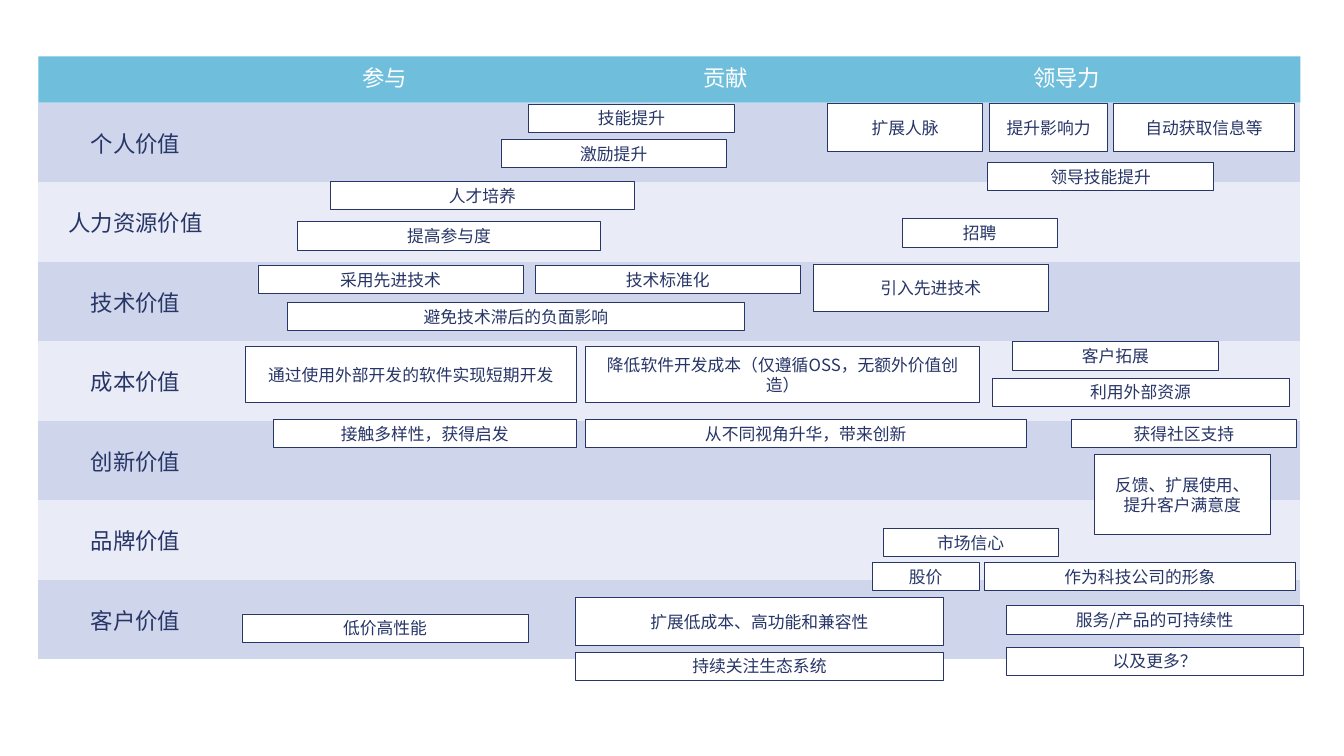
"""Build the slide that maps community values to levels of engagement."""
import dataclasses

import pptx
import pptx.dml.color
import pptx.enum.shapes
import pptx.enum.text
import pptx.oxml
import pptx.oxml.ns
import pptx.util

Pt = pptx.util.Pt
FACE = "Noto Sans CJK SC"
NAVY, WHITE, TEAL = "273567", "FFFFFF", "6EBEDC"
BANDS = ("CFD6EC", "E9ECF6")
PLAIN = "{2D5ABB26-0587-4C30-8999-92F81FD0307C}"
LEFT, TOP, WIDTH = 27.4, 73.4, 901.4
COLS = (139, 311.8, 225.3, 225.3)
ROW = 56.78
HEADS = ("参与", "贡献", "领导力")
ROWS = ("个人价值", "人力资源价值", "技术价值", "成本价值", "创新价值", "品牌价值", "客户价值")


@dataclasses.dataclass
class Note:
    text: str
    left: float
    top: float
    width: float
    height: float = 20.2


NOTES = (
    Note("技能提升", 377.3, 74.2, 147.6),
    Note("激励提升", 357.8, 99.4, 161.3),
    Note("领导技能提升", 705.6, 115.9, 161.3),
    Note("人才培养", 236.2, 129.6, 216.7),
    Note("提高参与度", 212.4, 158.4, 216.7),
    Note("采用先进技术", 184.3, 189.4, 189.4),
    Note("技术标准化", 382.3, 189.4, 189.4),
    Note("招聘", 644.4, 156.2, 110.9),
    Note("避免技术滞后的负面影响", 205.2, 216, 326.9),
    Note("低价高性能", 172.8, 438.5, 204.5),
    Note("接触多样性，获得启发", 195.1, 299.5, 216.7),
    Note("从不同视角升华，带来创新", 418.3, 299.5, 314.6),
    Note("持续关注生态系统", 411.1, 465.8, 262.8),
    Note("以及更多？", 718.6, 462.2, 212.4),
    Note("服务/产品的可持续性", 718.6, 432.7, 212.4),
    Note("作为科技公司的形象", 703.4, 401.8, 221.8),
    Note("股价", 622.8, 401.8, 77),
    Note("市场信心", 630.7, 377.3, 125.3),
    Note("获得社区支持", 765.4, 299.5, 160.6),
    Note("利用外部资源", 708.5, 270, 212.4),
    Note("客户拓展", 722.9, 244.1, 147.6),
    Note("扩展低成本、高功能和兼容性", 411.1, 427, 262.8, 33.8),
    Note("反馈、扩展使用、\n提升客户满意度", 781.9, 324.7, 125.3, 56.9),
    Note("通过使用外部开发的软件实现短期开发", 175, 247.7, 236.9, 39.6),
    Note("降低软件开发成本（仅遵循OSS，无额外价值创造）", 418.3, 247.7, 281.5, 39.6),
    Note("引入先进技术", 581, 188.6, 167.8, 33.8),
    Note("扩展人脉", 591.1, 74.2, 110.9, 33.8),
    Note("提升影响力", 707, 74.2, 84.2, 33.8),
    Note("自动获取信息等", 795.6, 74.2, 128.9, 33.8),
)


def paint(target, tone: str) -> None:
    """Give a fill one solid colour."""
    target.solid()
    target.fore_color.rgb = pptx.dml.color.RGBColor.from_string(tone)


def write(frame, text: str, size: float, tone: str) -> None:
    """Fill a text frame with centred text."""
    frame.text = text
    frame.word_wrap = True
    for para in frame.paragraphs:
        para.alignment = pptx.enum.text.PP_ALIGN.CENTER
        para.font.size = Pt(size)
        para.font.name = FACE
        paint(para.font.fill, tone)
        base = para._p.pPr.find(pptx.oxml.ns.qn("a:defRPr"))
        east = pptx.oxml.parse_xml(
            f'<a:ea {pptx.oxml.ns.nsdecls("a")} typeface="{FACE}"/>')
        base.find(pptx.oxml.ns.qn("a:latin")).addnext(east)


def add_box(slide, left: float, top: float, width: float, height: float, tone: str):
    """Add a filled rectangle without line or shadow."""
    box = slide.shapes.add_shape(
        pptx.enum.shapes.MSO_SHAPE.RECTANGLE, Pt(left), Pt(top), Pt(width), Pt(height))
    box.shadow.inherit = False
    paint(box.fill, tone)
    box.line.fill.background()
    return box


def add_grid(slide) -> None:
    """Add the banded table with its row labels."""
    grid = slide.shapes.add_table(
        len(ROWS), len(COLS), Pt(LEFT), Pt(TOP), Pt(WIDTH), Pt(ROW * len(ROWS))).table
    grid.first_row = grid.horz_banding = False
    grid._tbl.tblPr.find(pptx.oxml.ns.qn("a:tableStyleId")).text = PLAIN
    for col, width in zip(grid.columns, COLS):
        col.width = Pt(width)
    for num, (row, label) in enumerate(zip(grid.rows, ROWS)):
        row.height = Pt(ROW)
        for cell in row.cells:
            paint(cell.fill, BANDS[num % 2])
        head = row.cells[0]
        head.vertical_anchor = pptx.enum.text.MSO_ANCHOR.MIDDLE
        write(head.text_frame, label, 16, NAVY)


def add_heads(slide) -> None:
    """Add the header bar and its three titles."""
    add_box(slide, LEFT, 40.3, WIDTH, 33.1, TEAL)
    for num, title in enumerate(HEADS):
        box = slide.shapes.add_textbox(
            Pt(233.3 + 243.4 * num), Pt(42.5), Pt(83.5), Pt(26.6))
        write(box.text_frame, title, 16, WHITE)
        box.text_frame.auto_size = pptx.enum.text.MSO_AUTO_SIZE.SHAPE_TO_FIT_TEXT


def add_note(slide, note: Note) -> None:
    """Add one outlined note."""
    box = add_box(slide, note.left, note.top, note.width, note.height, WHITE)
    paint(box.line.fill, NAVY)
    box.line.width = Pt(0.5)
    box.text_frame.vertical_anchor = pptx.enum.text.MSO_ANCHOR.MIDDLE
    write(box.text_frame, note.text, 12, NAVY)


def main() -> None:
    """Build and save the deck."""
    deck = pptx.Presentation()
    deck.slide_width, deck.slide_height = Pt(960), Pt(540)
    slide = deck.slides.add_slide(deck.slide_layouts[6])
    add_grid(slide)
    add_heads(slide)
    for note in NOTES:
        add_note(slide, note)
    deck.save("out.pptx")


if __name__ == "__main__":
    main()
